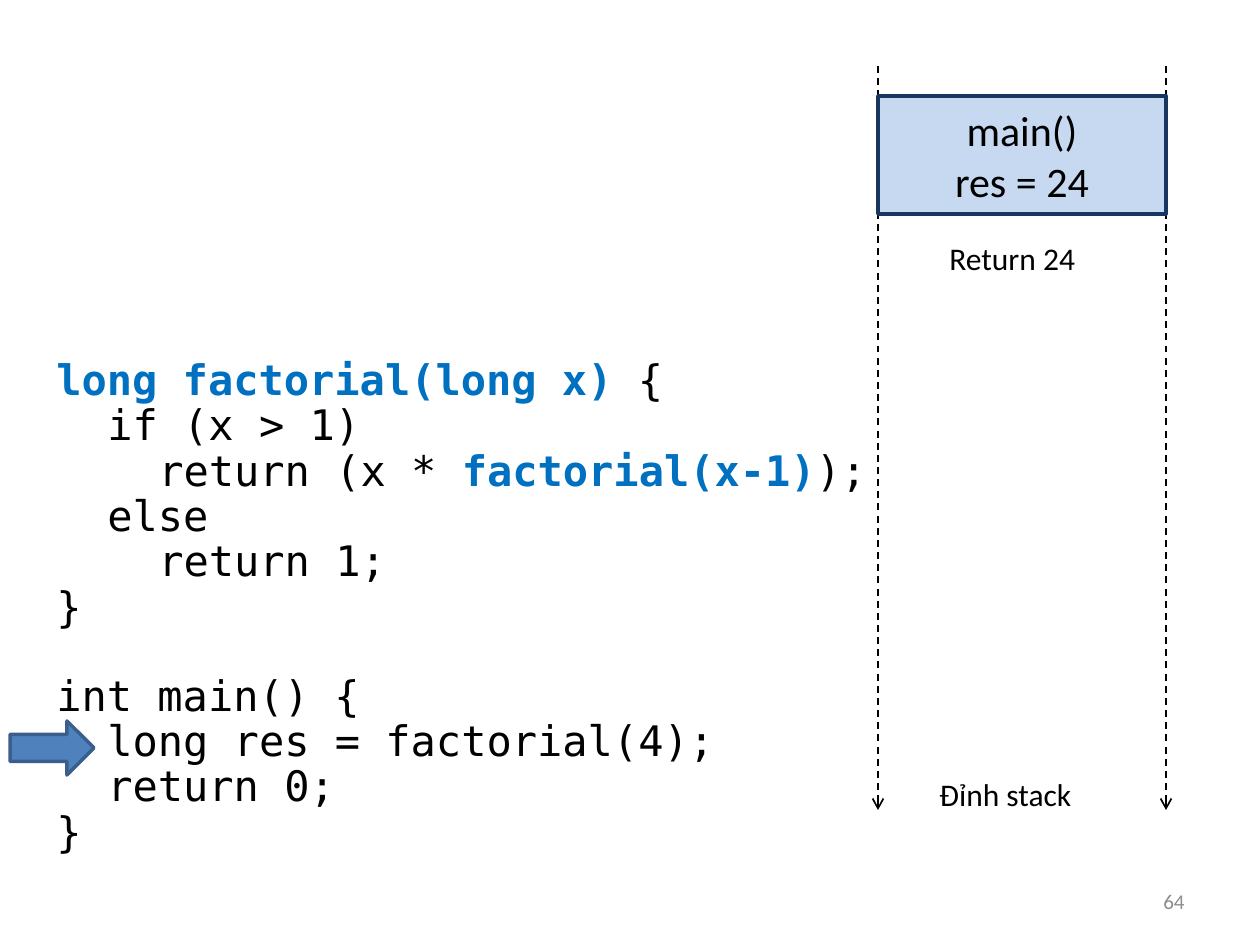
from lxml.etree import SubElement
from pptx import Presentation
from pptx.dml.color import RGBColor
from pptx.enum.dml import MSO_LINE
from pptx.enum.shapes import MSO_CONNECTOR, MSO_SHAPE
from pptx.enum.text import MSO_ANCHOR, PP_ALIGN
from pptx.oxml.ns import qn
from pptx.util import Pt

SCALE = 914400 / 126
INDENT = 51
SANS, MONO = "Calibri", "DejaVu Sans Mono"
COLORS = {
    "text": "000000", "call": "0070C0", "number": "8C8C8C",
    "frame": "C6D9F1", "frame_line": "17375E",
    "pointer": "4F81BD", "pointer_line": "3A5F8C",
}
FACTORIAL = [
    (0, [("long factorial(long x) ", True), ("{", False)]),
    (1, [("if (x > 1)", False)]),
    (2, [("return (x * ", False), ("factorial(x-1)", True), (");", False)]),
    (1, [("else", False)]),
    (2, [("return 1;", False)]),
    (0, [("}", False)]),
]
MAIN = [
    (0, [("int main() {", False)]),
    (1, [("long res = factorial(4);", False)]),
    (1, [("return 0;", False)]),
    (0, [("}", False)]),
]


def px(n):
    """Turn pixels into EMU."""
    return round(n * SCALE)


def rgb(name):
    """Look up a named colour."""
    return RGBColor.from_string(COLORS[name])


def style(r, size, color="text", font=SANS, bold=False):
    """Format one run."""
    r.font.size, r.font.name, r.font.bold = Pt(size), font, bold
    r.font.color.rgb = rgb(color)


def write(tf, text, size, color="text", align=PP_ALIGN.LEFT):
    """Fill a text frame with evenly formatted text."""
    tf.word_wrap = True
    tf.text = text
    for p in tf.paragraphs:
        p.alignment = align
        for r in p.runs:
            style(r, size, color)


def add_label(s, box, text, size, color="text", align=PP_ALIGN.LEFT):
    """Add a text box with one line of text."""
    tf = s.shapes.add_textbox(*map(px, box)).text_frame
    write(tf, text, size, color, align)
    return tf


def add_block(s, kind, box, fill, line):
    """Add a filled and outlined preset shape."""
    sp = s.shapes.add_shape(kind, *map(px, box))
    sp.shadow.inherit = False
    sp.fill.solid()
    sp.fill.fore_color.rgb = rgb(fill)
    sp.line.color.rgb = rgb(line)
    sp.line.width = Pt(2)
    return sp


def add_rail(s, x, top, bottom):
    """Add a dashed vertical line with an arrowhead at its foot."""
    c = s.shapes.add_connector(MSO_CONNECTOR.STRAIGHT, px(x), px(top), px(x), px(bottom))
    c.line.color.rgb = rgb("text")
    c.line.width = Pt(1)
    c.line.dash_style = MSO_LINE.DASH
    SubElement(c.line._get_or_add_ln(), qn("a:tailEnd"), type="arrow")
    SubElement(c._element.spPr, qn("a:effectLst"))


def add_code(s, box):
    """Add the two functions, with a gap of one line between them."""
    x, y, w, h = box
    tf = s.shapes.add_textbox(*map(px, box)).text_frame
    tf.word_wrap = True
    for i, (level, parts) in enumerate(FACTORIAL + MAIN):
        p = tf.add_paragraph() if i else tf.paragraphs[0]
        p.line_spacing = 0.9
        p._p.get_or_add_pPr().set("marL", str(px(level * INDENT)))
        if i == len(FACTORIAL):
            p.space_before = Pt(25)
        for text, is_call in parts:
            r = p.add_run()
            r.text = text
            style(r, 24, "call" if is_call else "text", MONO, is_call)
    add_block(s, MSO_SHAPE.RIGHT_ARROW, (x - 34, y + 368, 84, 54),
              "pointer", "pointer_line")


def add_stack(s, box):
    """Add the call stack: rails, the frame of main and two labels."""
    x, y, w, h = box
    for rail_x in (x, x + w):
        add_rail(s, rail_x, y, y + h)
    add_label(s, (x + 49, y + 703, 159, 50), "Đỉnh stack", 18)
    sp = add_block(s, MSO_SHAPE.RECTANGLE, (x, y + 30, w, 118), "frame", "frame_line")
    sp.text_frame.vertical_anchor = MSO_ANCHOR.MIDDLE
    write(sp.text_frame, "main()\nres = 24", 24, align=PP_ALIGN.CENTER)
    add_label(s, (x + 59, y + 167, 179, 50), "Return 24", 18)


def main():
    """Build and save the slide."""
    prs = Presentation()
    prs.slide_width, prs.slide_height = px(1260), px(945)
    s = prs.slides.add_slide(prs.slide_layouts[6])
    add_code(s, (44, 353, 1260, 517))
    add_stack(s, (878, 66, 288, 744))
    tf = add_label(s, (903, 876, 294, 50), "64", 12, "number", PP_ALIGN.RIGHT)
    tf.vertical_anchor = MSO_ANCHOR.MIDDLE
    prs.save("out.pptx")


if __name__ == "__main__":
    main()
